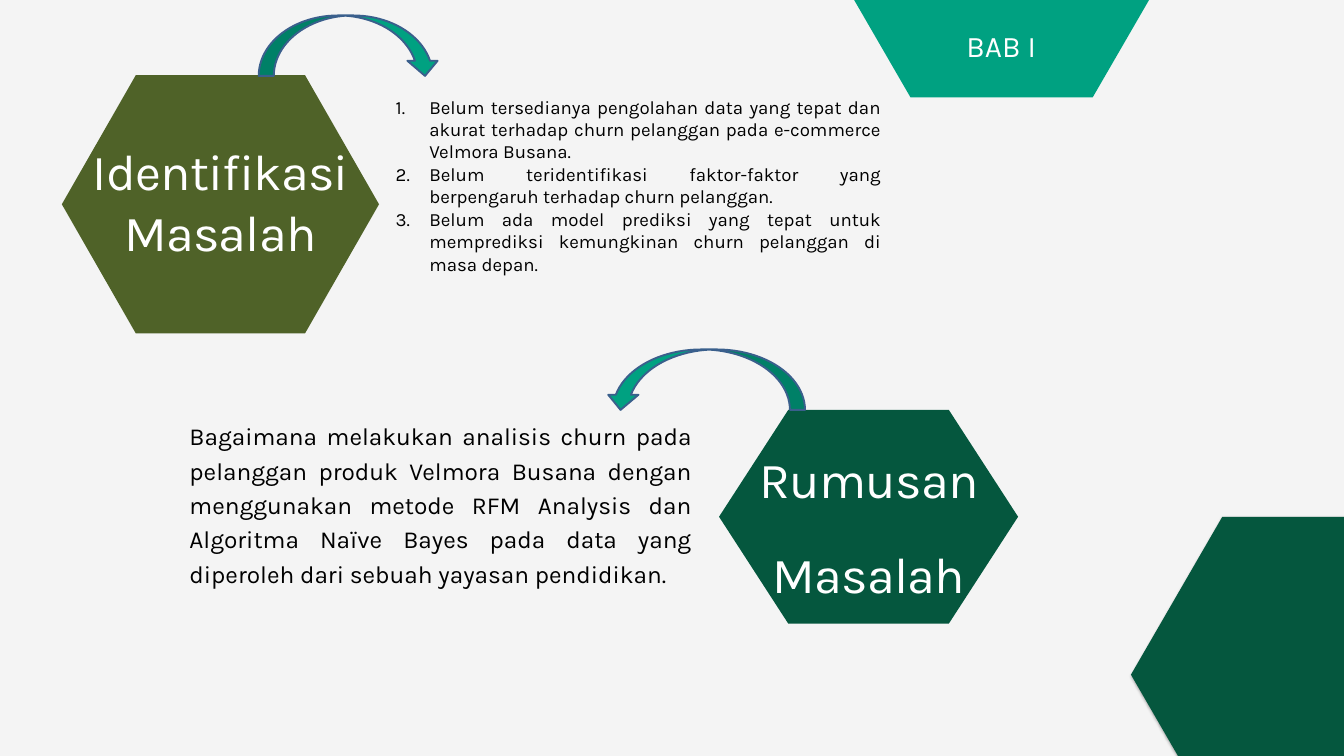
"""Build the slide on problem identification and problem formulation."""
from lxml.etree import SubElement
from pptx import Presentation
from pptx.dml.color import RGBColor
from pptx.enum.shapes import MSO_SHAPE as Shape
from pptx.enum.text import MSO_ANCHOR as Anchor, MSO_AUTO_SIZE as AutoSize, PP_ALIGN as Align
from pptx.oxml.ns import qn
from pptx.util import Pt

PX = 9144
FONT = "Karla"
COLORS = {
    "background": "F4F4F4",
    "olive": "4F6228",
    "teal": "00A181",
    "green": "05573E",
    "outline": "3A5F8C",
    "white": "FFFFFF",
    "black": "000000",
}
PROBLEMS = [
    "Belum tersedianya pengolahan data yang tepat dan akurat terhadap churn "
    "pelanggan pada e-commerce Velmora Busana.",
    "Belum teridentifikasi faktor-faktor yang berpengaruh terhadap churn pelanggan.",
    "Belum ada model prediksi yang tepat untuk memprediksi kemungkinan churn "
    "pelanggan di masa depan.",
]
QUESTION = (
    "Bagaimana melakukan analisis churn pada pelanggan produk Velmora Busana dengan "
    "menggunakan metode RFM Analysis dan Algoritma Naïve Bayes pada data yang "
    "diperoleh dari sebuah yayasan pendidikan."
)


def px(*lengths):
    return [length * PX for length in lengths]


def color(name):
    return RGBColor.from_string(COLORS[name])


def paint(shape, fill=None, line=None):
    shape.shadow.inherit = False
    if fill:
        shape.fill.solid()
        shape.fill.fore_color.rgb = color(fill)
    else:
        shape.fill.background()
    if line:
        shape.line.color.rgb = color(line)
        shape.line.width = Pt(2)
    else:
        shape.line.fill.background()


def style(paragraph, size, color_name, align, leading=None, tracking=None):
    paragraph.alignment = align
    if leading:
        paragraph.line_spacing = Pt(leading)
    font = paragraph.font
    font.name, font.size = FONT, Pt(size)
    font.color.rgb = color(color_name)
    if tracking:
        font._rPr.set("spc", str(tracking))


def add_hexagon(slide, left, top, width, height, corner, fill):
    right, bottom, middle = left + width, top + height, top + height // 2
    builder = slide.shapes.build_freeform(right, middle, scale=PX)
    builder.add_line_segments([
        (right - corner, bottom), (left + corner, bottom), (left, middle),
        (left + corner, top), (right - corner, top),
    ])
    hexagon = builder.convert_to_shape()
    paint(hexagon, fill)
    return hexagon


def add_title(hexagon, text, top_inset=5, leading=None):
    frame = hexagon.text_frame
    frame.word_wrap = True
    frame.vertical_anchor = Anchor.TOP
    frame.margin_top = top_inset * PX
    paragraph = frame.paragraphs[0]
    paragraph.text = text
    style(paragraph, 54, "white", Align.CENTER, leading, tracking=-80)


def add_soft_shadow(shape):
    effects = shape._element.spPr.find(qn("a:effectLst"))
    shadow = SubElement(effects, qn("a:outerShdw"), blurRad=str(Pt(3.1)),
                        dist=str(Pt(1.8)), dir="5400000", rotWithShape="0")
    tint = SubElement(shadow, qn("a:srgbClr"), val=COLORS["black"])
    SubElement(tint, qn("a:alpha"), val="35000")


def add_panel(slide, box, fill=None):
    panel = slide.shapes.add_shape(Shape.ROUNDED_RECTANGLE, *px(*box))
    paint(panel, fill)
    frame = panel.text_frame
    frame.word_wrap = True
    frame.vertical_anchor = Anchor.MIDDLE
    return frame


def add_label(slide, box, text):
    paragraph = add_panel(slide, box, "teal").paragraphs[0]
    paragraph.text = text
    style(paragraph, 32, "white", Align.CENTER)


def add_numbered_list(slide, box, items):
    frame = add_panel(slide, box)
    for index, item in enumerate(items):
        paragraph = frame.add_paragraph() if index else frame.paragraphs[0]
        paragraph.text = item
        properties = paragraph._p.get_or_add_pPr()
        properties.set("marL", str(50 * PX))
        properties.set("indent", str(-50 * PX))
        SubElement(properties, qn("a:buFont"), typeface="+mj-lt")
        SubElement(properties, qn("a:buAutoNum"), type="arabicPeriod")
        style(paragraph, 20, "black", Align.JUSTIFY)


def add_body(slide, box, text):
    frame = slide.shapes.add_textbox(*px(*box)).text_frame
    frame.word_wrap = True
    frame.auto_size = AutoSize.SHAPE_TO_FIT_TEXT
    frame.margin_left = frame.margin_top = frame.margin_right = frame.margin_bottom = 0
    paragraph = frame.paragraphs[0]
    paragraph.text = text
    style(paragraph, 26.2, "black", Align.JUSTIFY, leading=36.7)


def add_curved_arrow(slide, box, flipped=False):
    arrow = slide.shapes.add_shape(Shape.CURVED_DOWN_ARROW, *px(*box))
    paint(arrow, "teal", "outline")
    if flipped:
        arrow._element.spPr.xfrm.set("flipH", "1")


def main():
    presentation = Presentation()
    presentation.slide_width, presentation.slide_height = px(2000, 1125)
    slide = presentation.slides.add_slide(presentation.slide_layouts[6])
    slide.background.fill.solid()
    slide.background.fill.fore_color.rgb = color("background")

    identification = add_hexagon(slide, 92, 112, 472, 384, 110, "olive")
    add_title(identification, "Identifikasi Masalah", top_inset=97)
    add_hexagon(slide, 1219, -325, 543, 470, 136, "teal")
    add_body(slide, (282, 620, 747, 256), QUESTION)
    add_soft_shadow(add_hexagon(slide, 1683, 769, 543, 470, 136, "green"))
    add_label(slide, (1402, 25, 176, 87), "BAB I")
    add_curved_arrow(slide, (385, 23, 270, 90))
    add_numbered_list(slide, (564, 122, 772, 307), PROBLEMS)
    formulation = add_hexagon(slide, 1070, 610, 445, 318, 103, "green")
    add_title(formulation, "Rumusan Masalah", leading=102)
    add_curved_arrow(slide, (901, 520, 297, 90), flipped=True)

    presentation.save("out.pptx")


if __name__ == "__main__":
    main()
